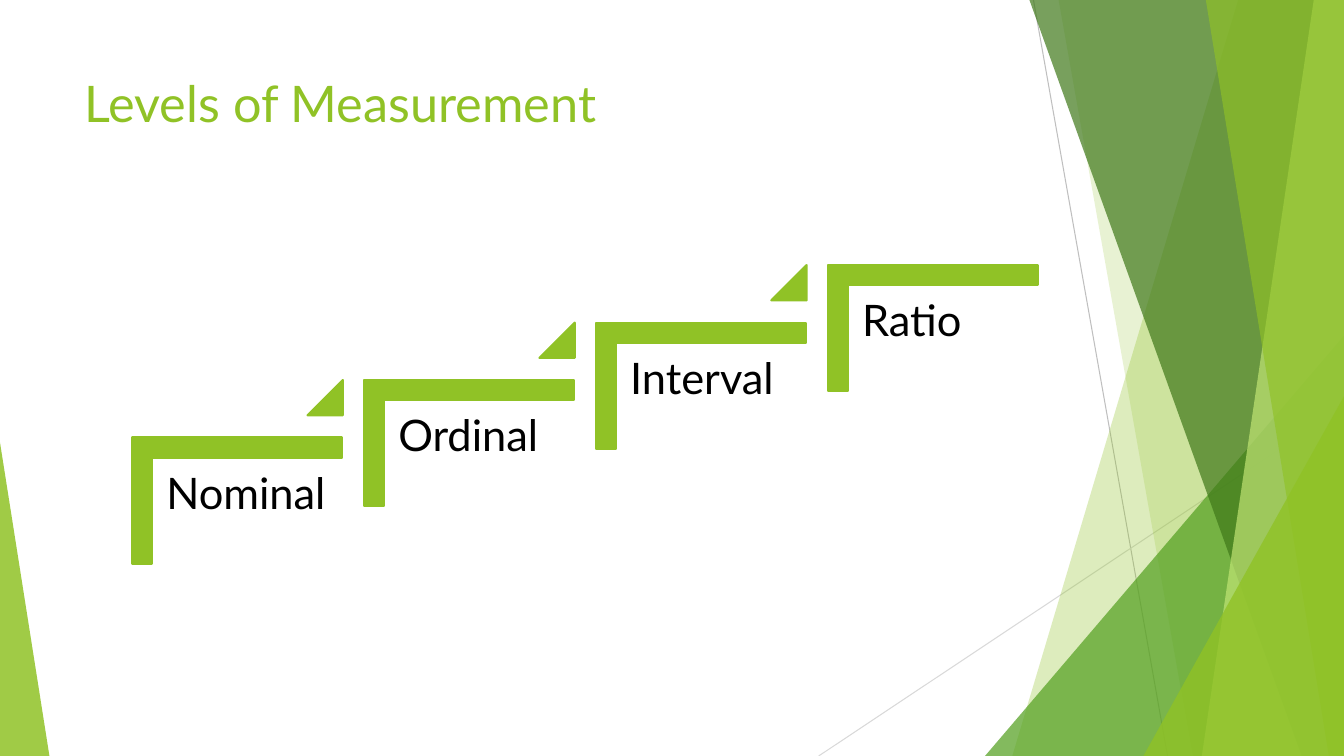
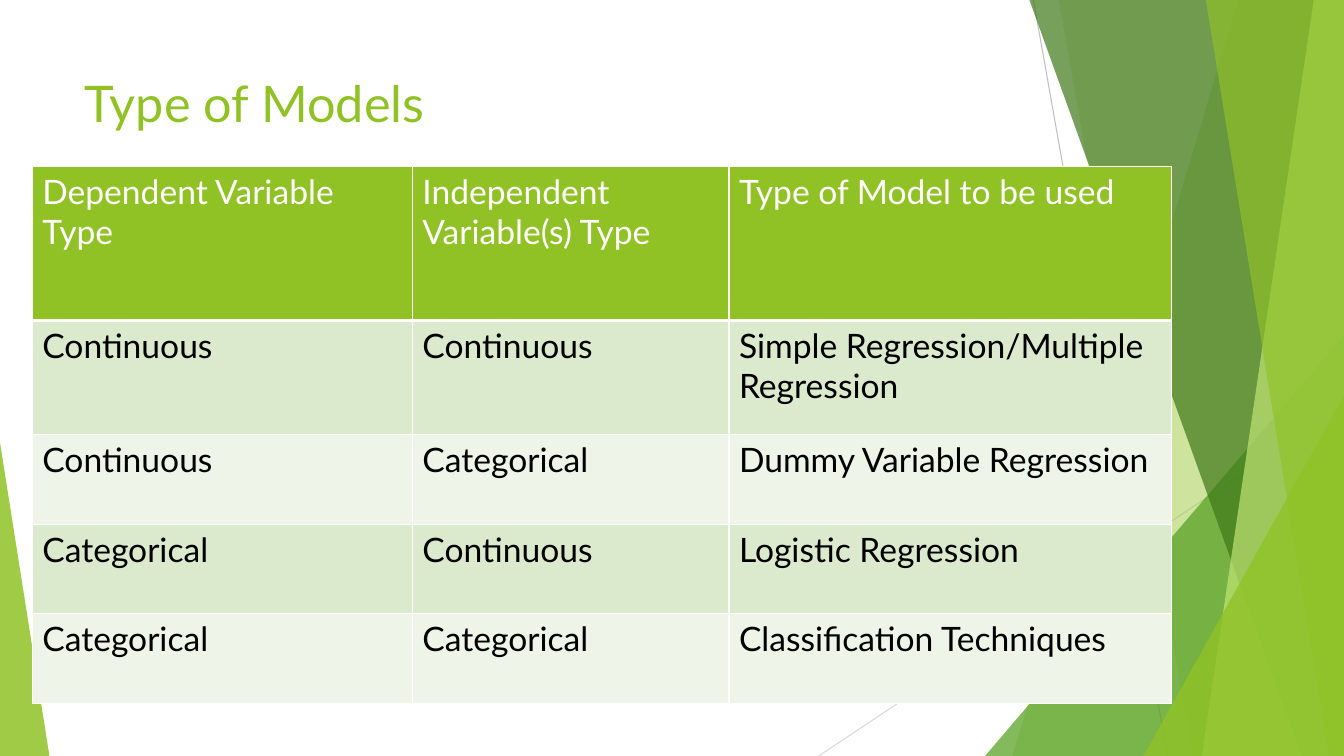
from lxml import etree
from pptx import Presentation
from pptx.dml.color import RGBColor
from pptx.enum.shapes import MSO_CONNECTOR, MSO_SHAPE
from pptx.oxml.ns import qn
from pptx.util import Inches, Pt

STRAIGHT = MSO_CONNECTOR.STRAIGHT
TRIANGLE = MSO_SHAPE.RIGHT_TRIANGLE
PEAK = MSO_SHAPE.ISOSCELES_TRIANGLE
CORNER = MSO_SHAPE.CORNER

FONT = "Lato"
SLIDE_W, SLIDE_H = 13.33, 7.5
COLORS = {
    "lime": "90C226",
    "green": "54A021",
    "forest": "3F7819",
    "pale": "C0E474",
    "gray": "BFBFBF",
    "light_gray": "D9D9D9",
    "white": "FFFFFF",
    "black": "000000",
    "band_dark": "DBE9CD",
    "band_light": "EEF4E8",
}


def rgb(name):
    return RGBColor.from_string(COLORS[name])


def set_fill(sp, color, opacity=100):
    sp.shadow.inherit = False
    sp.fill.solid()
    sp.fill.fore_color.rgb = rgb(color)
    if opacity < 100:
        clr = sp.fill._xPr.find(qn("a:solidFill"))[0]
        etree.SubElement(clr, qn("a:alpha")).set("val", str(opacity * 1000))


def format_text(tf, size, color):
    for p in tf.paragraphs:
        for r in p.runs:
            r.font.size = Pt(size)
            r.font.name = FONT
            r.font.color.rgb = rgb(color)


def add_text(s, box, text, size, color, inset=None):
    tf = s.shapes.add_textbox(*map(Inches, box)).text_frame
    tf.word_wrap = True
    if inset is not None:
        tf.margin_left = tf.margin_right = Inches(inset)
        tf.margin_top = tf.margin_bottom = Inches(inset)
    tf.text = text
    format_text(tf, size, color)
    return tf


def add_peak(s, box, color, opacity=100, apex=1):
    sp = s.shapes.add_shape(PEAK, *map(Inches, box))
    sp.adjustments[0] = apex
    set_fill(sp, color, opacity)
    sp.line.fill.background()
    return sp


def add_ray(s, x1, y1, x2, y2, color):
    line = s.shapes.add_connector(STRAIGHT, *map(Inches, (x1, y1, x2, y2)))
    line.line.color.rgb = rgb(color)
    line.line.width = Pt(0.75)
    etree.SubElement(line._element.spPr, qn("a:effectLst"))


def add_shard(s, top_x, bottom_x, color, opacity):
    """Band from a slanted left edge to the right edge of the slide."""
    corners = [(SLIDE_W, 0), (SLIDE_W, SLIDE_H), (bottom_x, SLIDE_H)]
    outline = s.shapes.build_freeform(Inches(top_x), 0)
    outline.add_line_segments([(Inches(x), Inches(y)) for x, y in corners])
    sp = outline.convert_to_shape()
    set_fill(sp, color, opacity)
    sp.line.fill.background()


def add_backdrop(s):
    add_ray(s, 10.25, 0, 11.58, SLIDE_H, "gray")
    add_ray(s, SLIDE_W, 4.03, 8.12, SLIDE_H, "light_gray")
    add_shard(s, 12.28, 10.04, "lime", 30)
    add_shard(s, 10.5, 11.83, "lime", 20)
    add_peak(s, (9.77, 3.33, 3.56, 4.17), "green", 72)
    add_shard(s, 10.21, 12.91, "forest", 70)
    add_shard(s, 13.03, 11.92, "pale", 70)
    add_shard(s, 11.96, 13.18, "lime", 65)
    add_peak(s, (11.34, 3.93, 1.99, 3.57), "lime", 80)
    add_peak(s, (0, 4.39, 0.49, 3.11), "lime", 85, apex=0)


def new_slide(prs, title):
    s = prs.slides.add_slide(prs.slide_layouts[6])
    add_backdrop(s)
    add_text(s, (0.74, 0.67, 9.4, 1.44), title, 36, "lime")
    return s


def outline_lime(sp):
    sp.line.color.rgb = rgb("lime")
    sp.line.width = Pt(1.5)


def add_step(s, x, y, label, has_next):
    w, h = 2.08, 1.25
    # Corner bracket, turned about its centre
    box = (x + (w - h) / 2, y - (w - h) / 2, h, w)
    bracket = s.shapes.add_shape(CORNER, *map(Inches, box))
    bracket.rotation = 90
    bracket.adjustments[0] = bracket.adjustments[1] = 0.161
    set_fill(bracket, "lime")
    outline_lime(bracket)
    # Label
    tf = add_text(s, (x + 0.21, y + 0.21, 1.88, 1.65), label, 31, "black", 0.13)
    tf.paragraphs[0].line_spacing = 0.9
    # Marker that leads up to the next step
    if has_next:
        outline_lime(add_peak(s, (x + 1.74, y - 0.57, 0.35, 0.35), "lime"))


def add_staircase(s, x, y, labels):
    run, rise = 2.3, 0.57
    for i, label in enumerate(labels):
        add_step(s, x + i * run, y - i * rise, label, i < len(labels) - 1)


def set_borders(cell, bottom):
    tcPr = cell._tc.get_or_add_tcPr()
    for side, width in (("L", 1), ("R", 1), ("T", 1), ("B", bottom)):
        ln = etree.SubElement(tcPr, qn("a:ln" + side), w=str(Pt(width)))
        fill = etree.SubElement(ln, qn("a:solidFill"))
        etree.SubElement(fill, qn("a:srgbClr"), val=COLORS["white"])


def add_model_table(s, x, y, col_widths, row_heights, rows):
    box = (x, y, sum(col_widths), sum(row_heights))
    frame = s.shapes.add_table(len(rows), len(col_widths), *map(Inches, box))
    table = frame.table
    table.first_row = table.horz_banding = False
    for col, width in zip(table.columns, col_widths):
        col.width = Inches(width)
    for i, (height, texts) in enumerate(zip(row_heights, rows)):
        table.rows[i].height = Inches(height)
        header = i == 0
        band = "lime" if header else ("band_light", "band_dark")[i % 2]
        for j, text in enumerate(texts):
            cell = table.cell(i, j)
            set_borders(cell, 3 if header else 1)
            cell.fill.solid()
            cell.fill.fore_color.rgb = rgb(band)
            cell.text_frame.text = text
            format_text(cell.text_frame, 24, "white" if header else "black")


def levels_slide(prs):
    s = new_slide(prs, "Levels of Measurement")
    add_staircase(s, 1.31, 4.34, ["Nominal", "Ordinal", "Interval", "Ratio"])


def models_slide(prs):
    s = new_slide(prs, "Type of Models")
    rows = [
        ("Dependent Variable Type", "Independent Variable(s) Type",
         "Type of Model to be used"),
        ("Continuous", "Continuous", "Simple Regression/Multiple Regression"),
        ("Continuous", "Categorical", "Dummy Variable Regression"),
        ("Categorical", "Continuous", "Logistic Regression"),
        ("Categorical", "Categorical", "Classification Techniques"),
    ]
    add_model_table(s, 0.32, 1.65, [3.77, 3.14, 4.39],
                    [1.53, 1.13, 0.89, 0.89, 0.89], rows)


def main():
    prs = Presentation()
    prs.slide_width, prs.slide_height = Inches(SLIDE_W), Inches(SLIDE_H)
    levels_slide(prs)
    models_slide(prs)
    prs.save("out.pptx")


if __name__ == "__main__":
    main()
